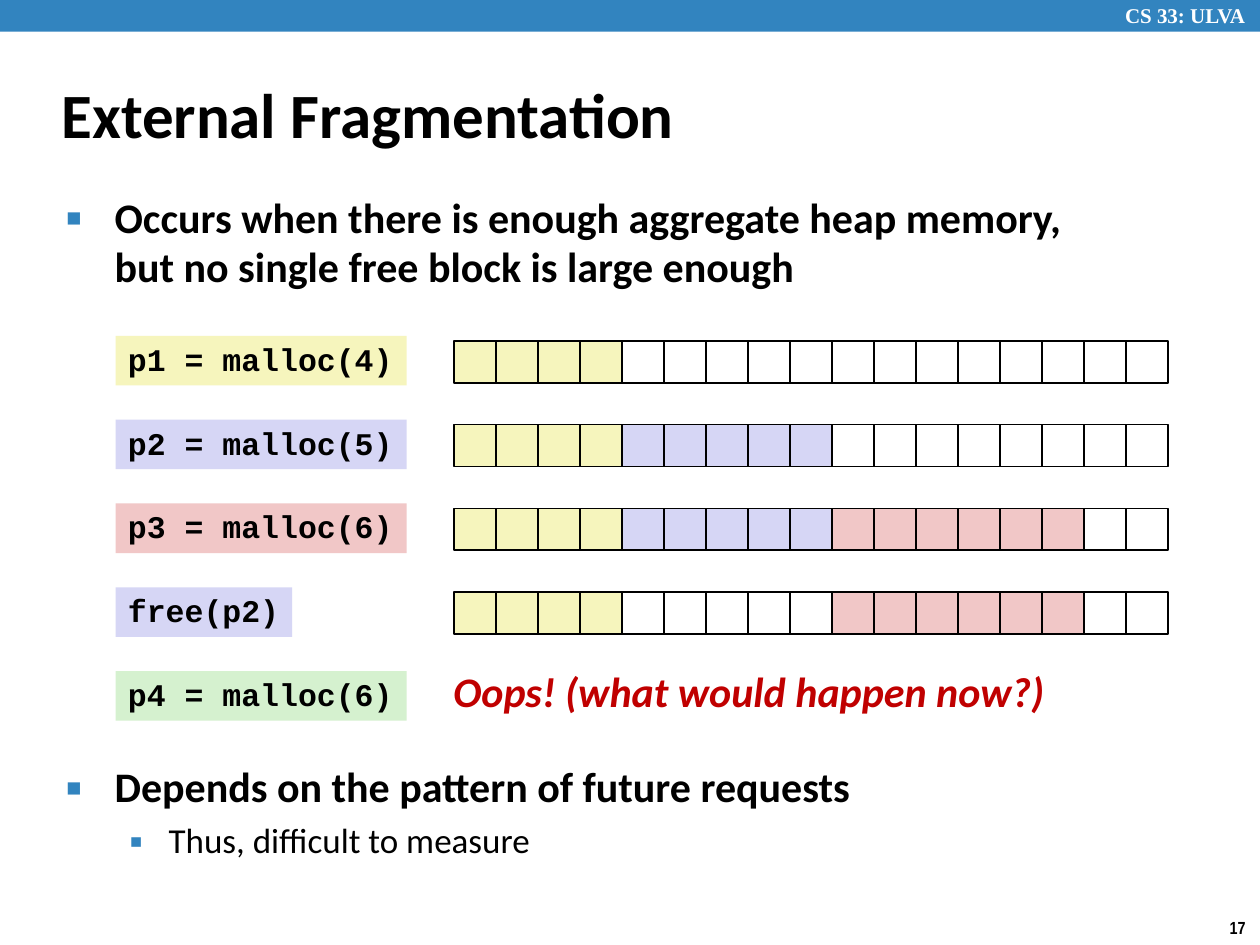
from pptx import Presentation
from pptx.dml.color import RGBColor
from pptx.enum.shapes import MSO_SHAPE
from pptx.enum.text import MSO_ANCHOR, PP_ALIGN
from pptx.oxml.ns import qn
from pptx.util import Cm, Pt
from lxml import etree

RECT = MSO_SHAPE.RECTANGLE
LEFT = PP_ALIGN.LEFT
MIDDLE = MSO_ANCHOR.MIDDLE

COLORS = {
    "bar": "3284BF", "black": "000000", "white": "FFFFFF", "red": "C00000",
    "p1": "F6F5BD", "p2": "D6D6F5", "p3": "F1C7C7", "p4": "D5F1CF",
}


def add_rect(shapes, x, y, w, h, color, outlined=False):
    sp = shapes.add_shape(RECT, x, y, w, h)
    sp.shadow.inherit = False
    sp.fill.solid()
    sp.fill.fore_color.rgb = RGBColor.from_string(COLORS[color])
    if outlined:
        sp.line.color.rgb = RGBColor.from_string(COLORS["black"])
        sp.line.width = Pt(1)
    else:
        sp.line.fill.background()
    return sp


def set_text(p, text, font, size, color="black", bold=True, italic=False):
    p.text = text
    p.alignment = LEFT
    f = p.runs[0].font
    f.name, f.size, f.bold, f.italic = font, Pt(size), bold, italic
    f.color.rgb = RGBColor.from_string(COLORS[color])


prs = Presentation()
prs.slide_width, prs.slide_height = Cm(25.4), Cm(19.05)
s = prs.slides.add_slide(prs.slide_layouts[6])

# Header bar
add_rect(s.shapes, 0, 0, prs.slide_width, Cm(0.64), "bar")

# Single-line texts: course, page number, title, closing question
for x, y, w, h, text, font, size, color, italic in [
    (22.43, -0.08, 3.15, 0.76, "CS 33: ULVA", "Times New Roman", 12, "white", False),
    (24.54, 18.36, 0.86, 0.69, "17", "Arial Narrow", 10, "black", False),
    (0.99, 1.22, 21.08, 2.11, "External Fragmentation", "Calibri", 36, "black", False),
    (8.89, 13.28, 12.52, 1.27, "Oops! (what would happen now?)", "Calibri", 24, "red", True),
]:
    tf = s.shapes.add_textbox(Cm(x), Cm(y), Cm(w), Cm(h)).text_frame
    tf.vertical_anchor = MIDDLE
    set_text(tf.paragraphs[0], text, font, size, color, italic=italic)

# Bullets, with a gap for the diagram before the second one
tf = s.shapes.add_textbox(Cm(1.09), Cm(3.78), Cm(21.9), Cm(13.82)).text_frame
tf.word_wrap = True
for i, (text, level, size, before, margin, hang, char, scale) in enumerate([
    ("Occurs when there is enough aggregate heap memory, "
     "but no single free block is large enough", 0, 24, 0, 0.97, 0.97, "■", 60),
    ("Depends on the pattern of future requests", 0, 24, 269, 0.97, 0.97, "■", 60),
    ("Thus, difficult to measure", 1, 20, 4.8, 2.06, 0.79, "▪", 110),
]):
    p = tf.add_paragraph() if i else tf.paragraphs[0]
    set_text(p, text, "Calibri", size, bold=level == 0)
    p.level = level
    p.line_spacing = 0.98
    p.space_before = Pt(before)
    pPr = p._p.get_or_add_pPr()
    pPr.set("marL", str(Cm(margin)))
    pPr.set("indent", str(-Cm(hang)))
    clr = etree.SubElement(pPr, qn("a:buClr"))
    etree.SubElement(clr, qn("a:srgbClr")).set("val", COLORS["bar"])
    etree.SubElement(pPr, qn("a:buSzPct")).set("val", str(scale * 1000))
    etree.SubElement(pPr, qn("a:buFont")).set("typeface", "Arial")
    etree.SubElement(pPr, qn("a:buChar")).set("char", char)

# Calls on the left, heap state after each call on the right
CELLS = 17
cell = Cm(14.39) / CELLS
heap_x, top, row_step = Cm(9.16), Cm(6.77), Cm(1.69)
for row, (call, color, w, blocks) in enumerate([
    ("p1 = malloc(4)", "p1", 5.87, [("p1", 4)]),
    ("p2 = malloc(5)", "p2", 5.87, [("p1", 4), ("p2", 5)]),
    ("p3 = malloc(6)", "p3", 5.87, [("p1", 4), ("p2", 5), ("p3", 6)]),
    ("free(p2)", "p2", 3.56, [("p1", 4), ("white", 5), ("p3", 6)]),
    ("p4 = malloc(6)", "p4", 5.87, []),
]):
    y = top + row * row_step
    if blocks:
        fills = [name for name, count in blocks for _ in range(count)]
        fills += ["white"] * (CELLS - len(fills))
        heap = s.shapes.add_group_shape()
        for col, fill in enumerate(fills):
            add_rect(heap.shapes, int(heap_x + col * cell), y + Cm(0.1),
                     int(cell), int(cell), fill, outlined=True)
    sp = add_rect(s.shapes, Cm(2.33), y, Cm(w), Cm(1), color)
    tf = sp.text_frame
    tf.word_wrap = False
    tf.vertical_anchor = MIDDLE
    set_text(tf.paragraphs[0], call, "Courier New", 18)
    tf.paragraphs[0].line_spacing = 0.94

prs.save("out.pptx")
